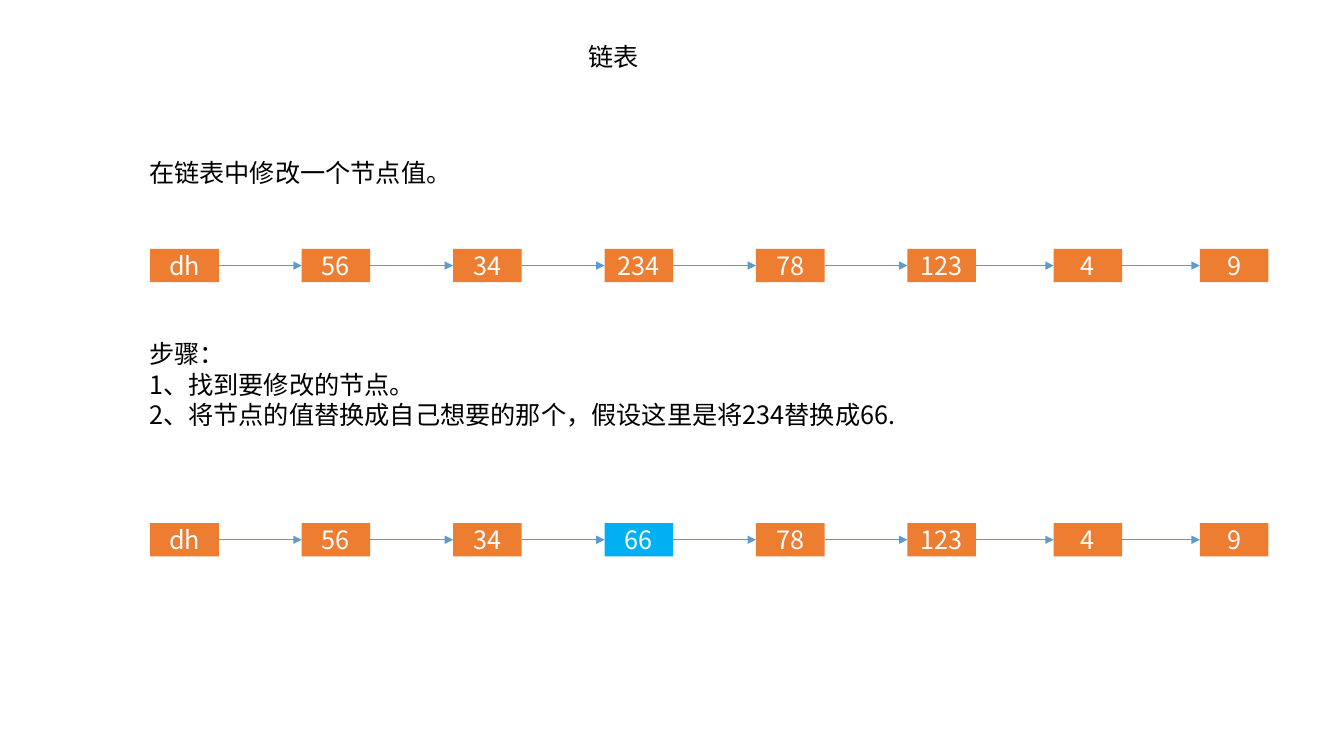
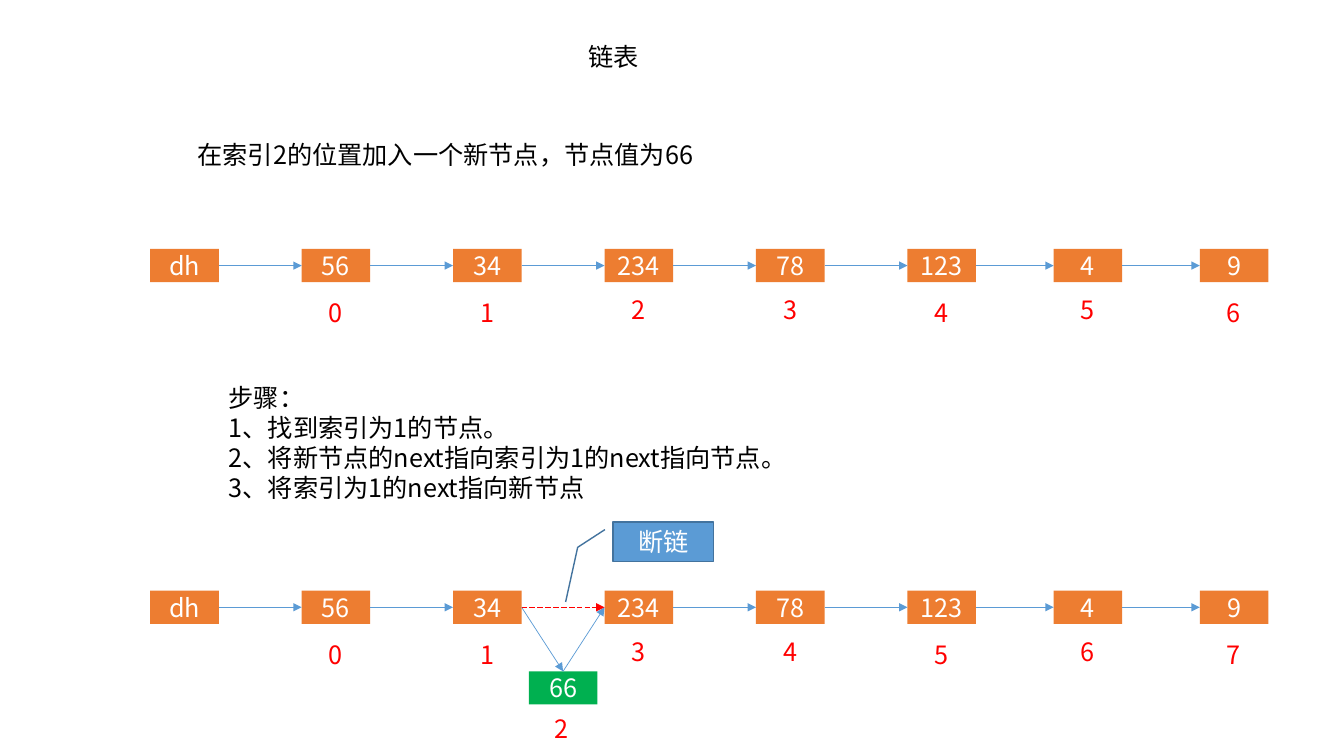
from lxml.etree import SubElement
from pptx import Presentation
from pptx.dml.color import RGBColor
from pptx.enum.dml import MSO_LINE
from pptx.enum.shapes import MSO_CONNECTOR, MSO_SHAPE
from pptx.enum.text import MSO_ANCHOR, MSO_AUTO_SIZE, PP_ALIGN
from pptx.oxml.ns import qn
from pptx.util import Inches, Pt

# Content: text boxes are (left, top, width, height, lines)
TITLE = "链表"
NODES = ["dh", "56", "34", "234", "78", "123", "4", "9"]
EDITED = NODES[:3] + ["66"] + NODES[4:]
EDIT_TEXT = [
    (1.38, 1.51, 3.23, 0.4, ["在链表中修改一个节点值。"]),
    (1.38, 3.31, 7.62, 1.01, [
        "步骤：",
        "1、找到要修改的节点。",
        "2、将节点的值替换成自己想要的那个，假设这里是将234替换成66."]),
]
INSERT_TEXT = [
    (1.86, 1.33, 5.15, 0.4, ["在索引2的位置加入一个新节点，节点值为66"]),
    (2.17, 3.74, 5.68, 1.31, [
        "步骤：",
        "1、找到索引为1的节点。",
        "2、将新节点的next指向索引为1的next指向节点。",
        "3、将索引为1的next指向新节点"]),
]
BEFORE = [0, 1, 2, 3, 4, 5, 6]
AFTER = [0, 1, 3, 4, 5, 6, 7]

# Shared style
FONT, SIZE = "Noto Sans CJK SC", 18
COLOR = {"text": "000000", "light": "FFFFFF", "node": "ED7D31",
         "edit": "00B0F0", "new": "00B050", "link": "5B9BD5",
         "index": "FF0000", "edge": "43739E"}

# Chain grid: six wide columns, then two slightly narrower ones
LEFT, WIDE, SLIM = 1.49, 1.502, 1.45
COLS = [LEFT + WIDE * min(i, 5) + SLIM * max(i - 5, 0)
        for i in range(len(NODES))]
BOX_W, BOX_H = 0.68, 0.33
TOP_ROW = 2.47
TAG_W, TAG_H, TAG_GAP, LIFT = 0.34, 0.4, 0.43, 0.03
RAISED = {3, 4, 6}
TOP, BOTTOM, START, END = 0, 2, 1, 3  # sides of a box, for links
START, END = 1, 3

deck = Presentation()
deck.slide_width, deck.slide_height = Inches(13.33), Inches(7.5)


def rgb(name):
    return RGBColor.from_string(COLOR[name])


def style(frame, color, align=None):
    for para in frame.paragraphs:
        para.alignment = align
        for run in para.runs:
            run.font.size, run.font.name = Pt(SIZE), FONT
            run.font.color.rgb = rgb(color)
            east = SubElement(run._r.get_or_add_rPr(), qn("a:ea"))
            east.set("typeface", FONT)


def write(shapes, x, y, w, h, lines, color="text"):
    box = shapes.add_textbox(*map(Inches, (x, y, w, h)))
    frame = box.text_frame
    frame.text = "\n".join(lines)
    frame.word_wrap = True
    frame.auto_size = MSO_AUTO_SIZE.SHAPE_TO_FIT_TEXT
    style(frame, color)


def block(shapes, x, y, text, fill, w=BOX_W, h=BOX_H,
          kind=MSO_SHAPE.RECTANGLE):
    box = shapes.add_shape(kind, *map(Inches, (x, y, w, h)))
    box.shadow.inherit = False
    box.fill.solid()
    box.fill.fore_color.rgb = rgb(fill)
    box.line.fill.background()
    box.text_frame.text = text
    box.text_frame.vertical_anchor = MSO_ANCHOR.MIDDLE
    style(box.text_frame, "light", PP_ALIGN.CENTER)
    return box


def link(shapes, first, last, out=END, into=START, color="link"):
    line = shapes.add_connector(MSO_CONNECTOR.STRAIGHT, 0, 0, 0, 0)
    line.begin_connect(first, out)
    line.end_connect(last, into)
    line.line.color.rgb = rgb(color)
    line.line.width = Pt(0.5)
    SubElement(line.line._get_or_add_ln(), qn("a:tailEnd")).set("type", "triangle")
    SubElement(line._element.spPr, qn("a:effectLst"))
    return line


def chain(slide, y, names, tags=(), edit=None, cut=None):
    """Draw a linked list; cut is the node whose next link is broken."""
    shapes = slide.shapes.add_group_shape().shapes
    boxes = [block(shapes, x, y, name, "edit" if i == edit else "node")
             for i, (x, name) in enumerate(zip(COLS, names))]
    for i, (a, b) in enumerate(zip(boxes, boxes[1:])):
        if i != cut:
            link(shapes, a, b)
    for i, tag in enumerate(tags, 1):
        drop = TAG_GAP - (LIFT if i in RAISED else 0)
        write(shapes, COLS[i] + (BOX_W - TAG_W) / 2, y + drop,
              TAG_W, TAG_H, [str(tag)], "index")
    return shapes, boxes


def page(texts):
    slide = deck.slides.add_slide(deck.slide_layouts[6])
    write(slide.shapes, 5.74, 0.36, 0.71, 0.4, [TITLE])
    for x, y, w, h, lines in texts:
        write(slide.shapes, x, y, w, h, lines)
    return slide


# Slide 1: change a value
slide = page(EDIT_TEXT)
chain(slide, TOP_ROW, NODES)
chain(slide, 5.19, EDITED, edit=3)

# Slide 2: insert a node
slide = page(INSERT_TEXT)
chain(slide, TOP_ROW, NODES, BEFORE)
low = 5.86
shapes, boxes = chain(slide, low, NODES, AFTER, cut=2)
prev, after = boxes[2:4]
new_x, new_y = (COLS[2] + COLS[3]) / 2, low + 0.8
new = block(shapes, new_x, new_y, "66", "new")
link(shapes, prev, new, into=TOP)
link(shapes, new, after, out=TOP)
broken = link(shapes, prev, after, color="index")
broken.line.dash_style = MSO_LINE.LONG_DASH
write(slide.shapes, new_x + 0.16, new_y + 0.37, TAG_W, TAG_H, ["2"], "index")

# Callout on the broken link
note = block(slide.shapes, 6.08, 5.18, "断链", "link", 1, 0.39,
             MSO_SHAPE.LINE_CALLOUT_2)
note.line.color.rgb = rgb("edge")
note.line.width = Pt(1)
for i, value in enumerate([0.19, -0.08, 0.64, -0.35, 2.03, -0.47]):
    note.adjustments[i] = value

deck.save("out.pptx")
